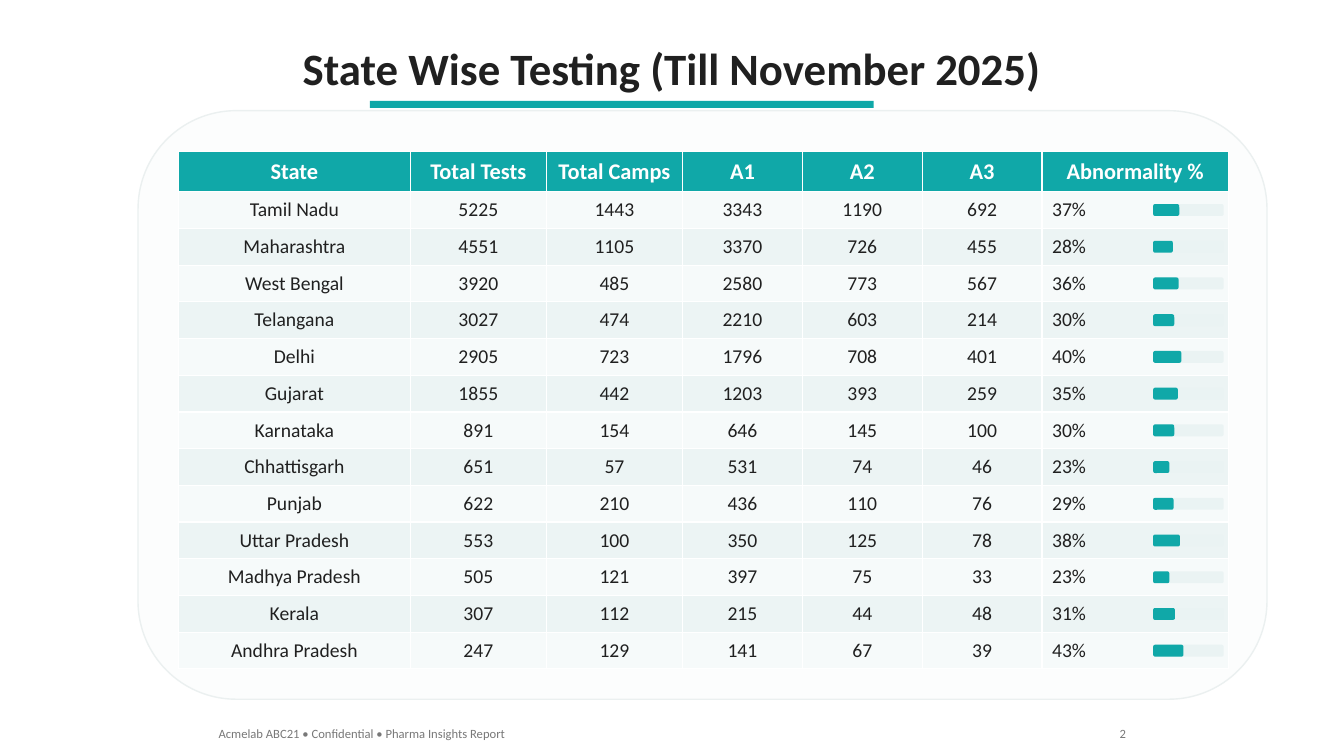
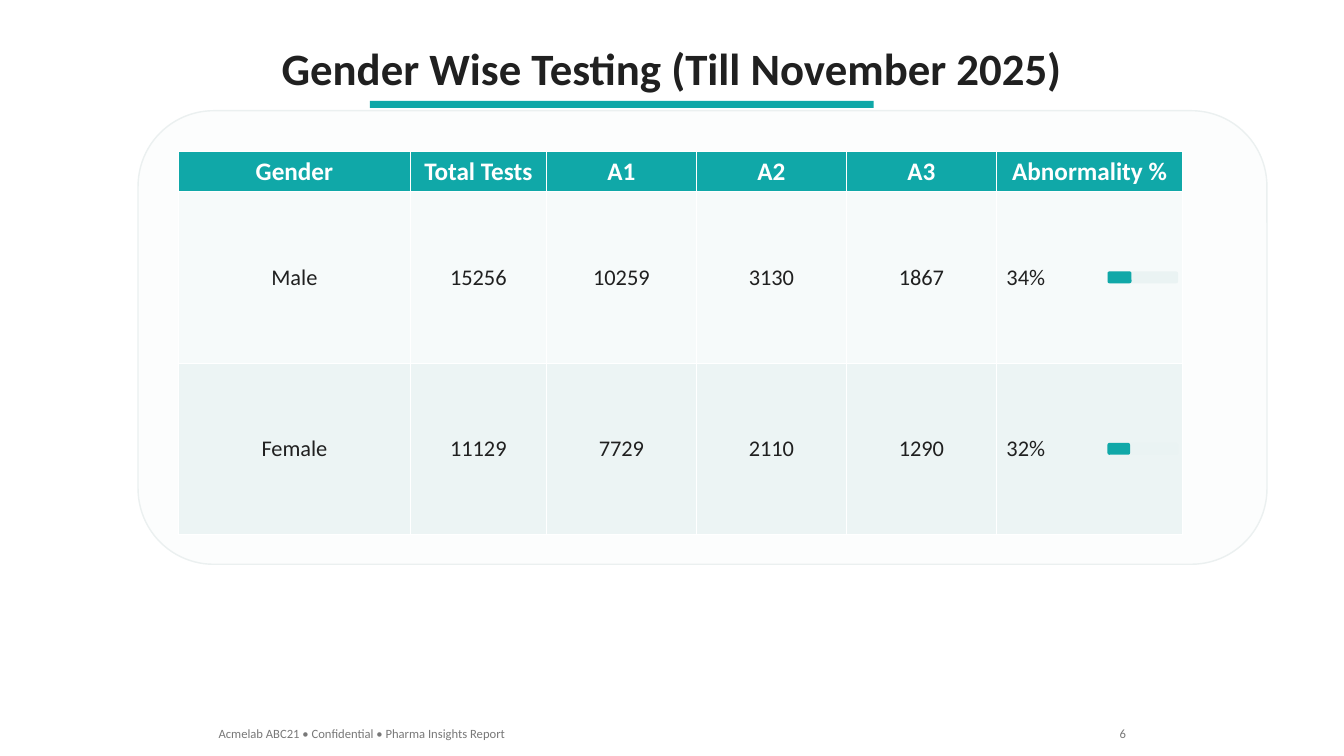
from dataclasses import dataclass

from pptx import Presentation
from pptx.dml.color import RGBColor
from pptx.enum.shapes import MSO_SHAPE
from pptx.enum.text import MSO_ANCHOR, MSO_AUTO_SIZE, PP_ALIGN
from pptx.util import Cm, Pt


@dataclass(frozen=True)
class Theme:
    font: str = "Calibri"
    # Colours
    accent: str = "10A8A8"
    ink: str = "202020"
    muted: str = "787878"
    white: str = "FFFFFF"
    panel: str = "FCFDFD"
    panel_edge: str = "EBF0F0"
    track: str = "EAF3F3"
    stripes: tuple = ("F6FAFA", "ECF4F4")
    # Type sizes in points
    title_size: int = 32
    footer_size: int = 9
    state_size: int = 14
    gender_size: int = 16


# Lengths in centimetres
SLIDE_WIDTH, SLIDE_HEIGHT = 33.87, 19.05
TITLE_WIDTH = 21
TABLE_LEFT, TABLE_TOP, HEADER_HEIGHT = 4.5, 3.81, 1.02
BAR_WIDTH, BAR_HEIGHT, BAR_INSET = 1.78, 0.3, 1.9
LABEL_COLUMN, COUNT_COLUMN, RATE_COLUMN = 5.84, 3.43, 4.7
FOOTER = "Acmelab ABC21 • Confidential • Pharma Insights Report"


class Report:
    def __init__(self, theme):
        self.theme = theme
        self.deck = Presentation()
        self.deck.slide_width = Cm(SLIDE_WIDTH)
        self.deck.slide_height = Cm(SLIDE_HEIGHT)
        self.slide = None

    def style(self, paragraph, size, color, bold=False, align=PP_ALIGN.LEFT):
        paragraph.alignment = align
        for run in paragraph.runs:
            run.font.name = self.theme.font
            run.font.size = Pt(size)
            run.font.bold = bold
            run.font.color.rgb = RGBColor.from_string(color)

    def text(self, words, left, top, width, height, size, color, **look):
        box = self.slide.shapes.add_textbox(Cm(left), Cm(top), Cm(width), Cm(height))
        frame = box.text_frame
        frame.text = words
        frame.word_wrap = False
        frame.auto_size = MSO_AUTO_SIZE.SHAPE_TO_FIT_TEXT
        self.style(frame.paragraphs[0], size, color, **look)

    def block(self, kind, left, top, width, height, fill, edge=None):
        block = self.slide.shapes.add_shape(
            kind, Cm(left), Cm(top), Cm(width), Cm(height))
        block.shadow.inherit = False
        block.fill.solid()
        block.fill.fore_color.rgb = RGBColor.from_string(fill)
        if edge:
            block.line.color.rgb = RGBColor.from_string(edge)
            block.line.width = Pt(1)
        else:
            block.line.fill.background()

    def page(self, title, number, panel_height):
        """Start a slide with its title, rule, panel and footer."""
        theme = self.theme
        self.slide = self.deck.slides.add_slide(self.deck.slide_layouts[6])
        self.text(title, (SLIDE_WIDTH - TITLE_WIDTH) / 2, 0.89, TITLE_WIDTH, 1.63,
                  theme.title_size, theme.ink, bold=True, align=PP_ALIGN.CENTER)
        self.block(MSO_SHAPE.RECTANGLE, 9.32, 2.54, 12.7, 0.18, theme.accent)
        self.block(MSO_SHAPE.ROUNDED_RECTANGLE, 3.48, 2.79, 28.45, panel_height,
                   theme.panel, theme.panel_edge)
        self.text(FOOTER, 5.26, 18.16, 7.75, 0.64, theme.footer_size, theme.muted)
        self.text(str(number), 27.94, 18.16, 0.69, 0.64,
                  theme.footer_size, theme.muted, align=PP_ALIGN.RIGHT)

    def cell(self, cell, words, fill, size, color, **look):
        cell.text_frame.text = words
        cell.vertical_anchor = MSO_ANCHOR.MIDDLE
        cell.fill.solid()
        cell.fill.fore_color.rgb = RGBColor.from_string(fill)
        self.style(cell.text_frame.paragraphs[0], size, color, **look)

    def results(self, headings, records, widths, body_height, size):
        """Add a table whose last column is a percentage with a bar."""
        theme = self.theme
        row_height = body_height / len(records)
        table = self.slide.shapes.add_table(
            len(records) + 1, len(headings), Cm(TABLE_LEFT), Cm(TABLE_TOP),
            Cm(sum(widths)), Cm(HEADER_HEIGHT + body_height)).table
        for column, width in zip(table.columns, widths):
            column.width = Cm(width)

        # Header row
        table.rows[0].height = Cm(HEADER_HEIGHT)
        for column, heading in enumerate(headings):
            self.cell(table.cell(0, column), heading, theme.accent, size + 2,
                      theme.white, bold=True, align=PP_ALIGN.CENTER)

        # Striped body rows with their bars
        bar_left = TABLE_LEFT + sum(widths) - BAR_INSET
        for index, (*values, rate) in enumerate(records):
            row = index + 1
            table.rows[row].height = Cm(row_height)
            stripe = theme.stripes[index % 2]
            for column, value in enumerate(values):
                self.cell(table.cell(row, column), str(value), stripe, size,
                          theme.ink, align=PP_ALIGN.CENTER)
            self.cell(table.cell(row, len(values)), f"{rate}%", stripe, size, theme.ink)
            middle = TABLE_TOP + HEADER_HEIGHT + (index + 0.5) * row_height
            self.bar(rate, bar_left, middle - BAR_HEIGHT / 2)

    def bar(self, rate, left, top):
        for share, fill in ((100, self.theme.track), (rate, self.theme.accent)):
            self.block(MSO_SHAPE.ROUNDED_RECTANGLE, left, top,
                       BAR_WIDTH * share / 100, BAR_HEIGHT, fill)


STATES = [
    ("Tamil Nadu", 5225, 1443, 3343, 1190, 692, 37),
    ("Maharashtra", 4551, 1105, 3370, 726, 455, 28),
    ("West Bengal", 3920, 485, 2580, 773, 567, 36),
    ("Telangana", 3027, 474, 2210, 603, 214, 30),
    ("Delhi", 2905, 723, 1796, 708, 401, 40),
    ("Gujarat", 1855, 442, 1203, 393, 259, 35),
    ("Karnataka", 891, 154, 646, 145, 100, 30),
    ("Chhattisgarh", 651, 57, 531, 74, 46, 23),
    ("Punjab", 622, 210, 436, 110, 76, 29),
    ("Uttar Pradesh", 553, 100, 350, 125, 78, 38),
    ("Madhya Pradesh", 505, 121, 397, 75, 33, 23),
    ("Kerala", 307, 112, 215, 44, 48, 31),
    ("Andhra Pradesh", 247, 129, 141, 67, 39, 43),
]
GENDERS = [
    ("Male", 15256, 10259, 3130, 1867, 34),
    ("Female", 11129, 7729, 2110, 1290, 32),
]
GRADES = ["A1", "A2", "A3", "Abnormality %"]


def main():
    theme = Theme()
    report = Report(theme)

    # Results by state
    report.page("State Wise Testing (Till November 2025)", 2, panel_height=14.83)
    report.results(
        ["State", "Total Tests", "Total Camps", *GRADES], STATES,
        [LABEL_COLUMN] + [COUNT_COLUMN] * 2 + [3.02] * 3 + [RATE_COLUMN],
        body_height=12.03, size=theme.state_size)

    # Results by gender
    report.page("Gender Wise Testing (Till November 2025)", 6, panel_height=11.43)
    report.results(
        ["Gender", "Total Tests", *GRADES], GENDERS,
        [LABEL_COLUMN, COUNT_COLUMN] + [3.78] * 3 + [RATE_COLUMN],
        body_height=8.64, size=theme.gender_size)

    report.deck.save("out.pptx")


if __name__ == "__main__":
    main()
